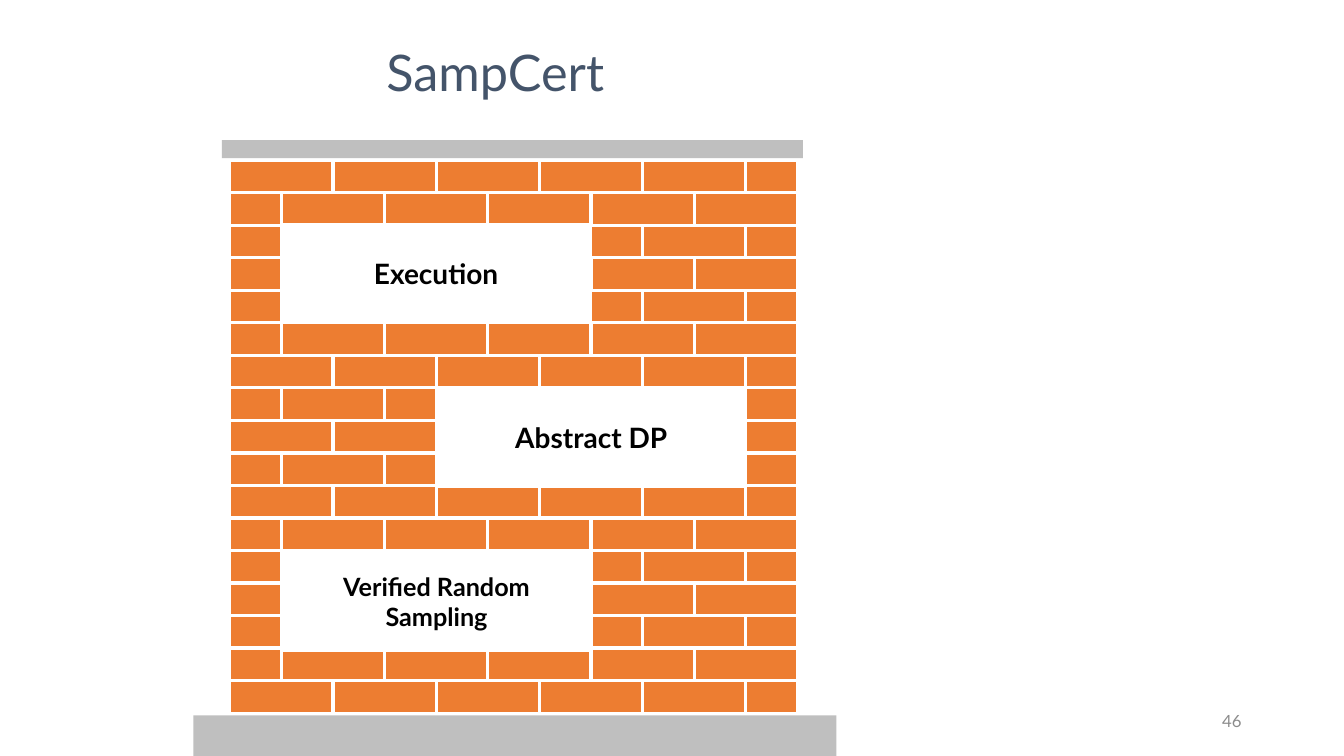
import pptx
import pptx.dml.color
import pptx.enum.shapes
import pptx.enum.text
import pptx.util

Pt = pptx.util.Pt
ALIGN = pptx.enum.text.PP_ALIGN
COLORS = {
    "brick": "ED7D31",
    "mortar": "FFFFFF",
    "stone": "BFBFBF",
    "title": "44546A",
    "label": "000000",
    "number": "8C8C8C",
}
FONT = "Lato"

# Wall geometry in points
WALL_LEFT, WALL_TOP = 164.1, 114.5
BRICK_WIDTH, COURSE_HEIGHT = 73.74, 23.23
BRICKS_PER_COURSE, LAST_COURSE = 6, 16
# Openings for the panels: course -> positions without a brick
OPENINGS = {
    2: {1, 2}, 3: {1, 2, 3}, 4: {1, 2},
    7: {3, 4}, 8: {2, 3, 4}, 9: {3, 4},
    12: {1, 2}, 13: {1, 2, 3}, 14: {1, 2},
}


def rgb(name):
    return pptx.dml.color.RGBColor.from_string(COLORS[name])


def write(shape, text, size=20, color="label", bold=False,
          align=ALIGN.CENTER, spacing=None):
    frame = shape.text_frame
    frame.word_wrap = True
    frame.vertical_anchor = pptx.enum.text.MSO_ANCHOR.MIDDLE
    paragraph = frame.paragraphs[0]
    paragraph.alignment = align
    if spacing:
        paragraph.line_spacing = spacing
    run = paragraph.add_run()
    run.text = text
    run.font.name = FONT
    run.font.size = Pt(size)
    run.font.bold = bold
    run.font.color.rgb = rgb(color)


class WallSlide:
    def __init__(self, slide):
        self.shapes = slide.shapes
        self.line_width = Pt(2.25)

    def block(self, left, top, width, height, fill, outlined=True):
        block = self.shapes.add_shape(
            pptx.enum.shapes.MSO_SHAPE.RECTANGLE,
            Pt(left), Pt(top), Pt(width), Pt(height))
        block.shadow.inherit = False
        block.fill.solid()
        block.fill.fore_color.rgb = rgb(fill)
        if outlined:
            block.line.color.rgb = rgb("mortar")
            block.line.width = self.line_width
        else:
            block.line.fill.background()
        return block

    def course(self, number):
        """Even courses end with a half brick, odd ones start with one."""
        half_at = 0 if number % 2 else BRICKS_PER_COURSE - 1
        left = WALL_LEFT
        for position in range(BRICKS_PER_COURSE):
            width = BRICK_WIDTH / 2 if position == half_at else BRICK_WIDTH
            if position not in OPENINGS.get(number, ()):
                self.block(left, WALL_TOP + number * COURSE_HEIGHT,
                           width, COURSE_HEIGHT, "brick")
            left += width

    def panel(self, left, top, text, size):
        write(self.block(left, top, 220.7, 69.7, "mortar"), text, size, bold=True)

    def text(self, left, top, width, height, text, **style):
        box = self.shapes.add_textbox(Pt(left), Pt(top), Pt(width), Pt(height))
        write(box, text, **style)


def main():
    deck = pptx.Presentation()
    deck.slide_width, deck.slide_height = Pt(960), Pt(540)
    wall = WallSlide(deck.slides.add_slide(deck.slide_layouts[6]))

    # Foundation and brick courses, from the ground up
    wall.block(138.2, 511, 459.2, 29, "stone", outlined=False)
    for number in range(LAST_COURSE, 0, -1):
        wall.course(number)

    # Slide number
    wall.text(678, 500.5, 216, 28.8, "46", size=12, color="number",
              align=ALIGN.RIGHT)

    # Labelled components in the wall
    wall.panel(201.5, 394.9, "Verified Random Sampling", 18)
    wall.panel(312, 277.6, "Abstract DP", 20)
    wall.panel(201.2, 160.3, "Execution", 20)

    # Top course and capstone
    wall.course(0)
    wall.block(158.5, 100, 415, 13, "stone", outlined=False)

    # Title
    wall.text(40.2, 30.2, 636.5, 46.8, "SampCert ", size=36, color="title",
              spacing=0.9)

    deck.save("out.pptx")


if __name__ == "__main__":
    main()
